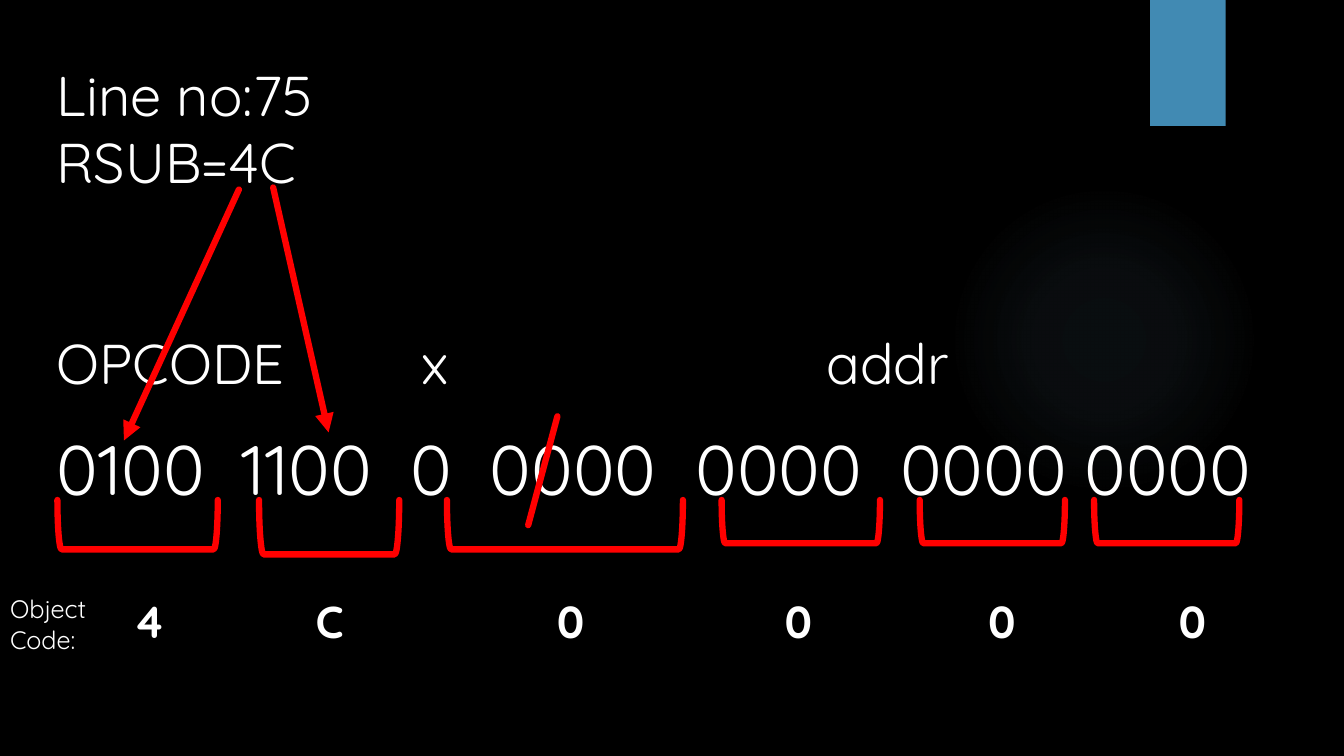
"""Build the RSUB object code slide on a grid of 160 columns and 90 rows."""
from dataclasses import dataclass

from pptx import Presentation, util as u
from pptx.dml.color import RGBColor
from pptx.enum import shapes, text
from pptx.oxml import parse_xml
from pptx.oxml.ns import nsdecls, qn

COLS, ROWS = 160, 90
WIDTH, HEIGHT = u.Inches(13.33), u.Inches(7.5)


@dataclass(frozen=True)
class Theme:
    font: str = "Quicksand"
    back: str = "000000"
    ink: str = "FFFFFF"
    mark: str = "FF0000"
    tab: str = "418AB3"
    glow: str = "8ABAD4"
    head: int = 40
    bits: int = 50
    hex: int = 32
    note: int = 18
    stroke: float = 4.5


@dataclass(frozen=True)
class Label:
    words: str
    left: float
    top: float
    size: int
    width: float = 28
    bold: bool = False
    centred: bool = False


@dataclass(frozen=True)
class Bracket:
    centre: float
    length: float
    depth: float
    digit: str
    digit_centre: float


@dataclass(frozen=True)
class Stroke:
    start: tuple[float, float]
    end: tuple[float, float]
    arrow: bool = False


THEME = Theme()
FIELD_ROW, BIT_ROW, BRACKET_ROW, HEX_ROW = 39.12, 50.64, 59.52, 70.68
HEX_WIDTH = 8
FIELDS = [("OPCODE", 6.72), ("x", 50.16), ("addr", 98.4)]
BITS = [("0100", 6.72), ("1100", 28.8), ("0", 48.84), ("0000", 58.32),
        ("0000", 82.8), ("0000", 107.16), ("0000", 129.12)]
BRACKETS = [
    Bracket(16.38, 19.08, 5.88, "4", 17.76),
    Bracket(39.18, 16.68, 6.48, "C", 39.24),
    Bracket(67.26, 28.08, 5.88, "0", 67.92),
    Bracket(95.34, 18.84, 5.16, "0", 95.04),
    Bracket(118.14, 17.28, 5.16, "0", 119.28),
    Bracket(138.9, 17.28, 5.16, "0", 141.96),
]
STROKES = [
    Stroke((28.44, 22.56), (14.76, 52.44), arrow=True),
    Stroke((32.52, 22.32), (39.12, 51.48), arrow=True),
    Stroke((66.36, 49.56), (62.88, 62.52)),
]
LABELS = [
    *(Label(words, left, FIELD_ROW, THEME.head) for words, left in FIELDS),
    *(Label(words, left, BIT_ROW, THEME.bits) for words, left in BITS),
    *(Label(b.digit, b.digit_centre - HEX_WIDTH / 2, HEX_ROW, THEME.hex,
            HEX_WIDTH, bold=True, centred=True) for b in BRACKETS),
    Label("Object Code:", 1.2, HEX_ROW, THEME.note, 11.04),
]


def col(n: float) -> int:
    return round(WIDTH * n / COLS)


def row(n: float) -> int:
    return round(HEIGHT * n / ROWS)


def box(left: float, top: float, width: float, height: float) -> tuple[int, int, int, int]:
    return col(left), row(top), col(width), row(height)


def assign(obj, values: dict) -> None:
    for name, value in values.items():
        setattr(obj, name, value)


def write(sp, label: Label) -> None:
    tf = sp.text_frame
    assign(tf, dict(margin_left=0, margin_top=0, margin_right=0, margin_bottom=0,
                    word_wrap=True, auto_size=text.MSO_AUTO_SIZE.NONE,
                    vertical_anchor=text.MSO_ANCHOR.TOP))
    tf.text = label.words
    for p in tf.paragraphs:
        p.alignment = text.PP_ALIGN.CENTER if label.centred else text.PP_ALIGN.LEFT
        for r in p.runs:
            assign(r.font, dict(name=THEME.font, size=u.Pt(label.size), bold=label.bold))
            r.font.color.rgb = RGBColor.from_string(THEME.ink)


def add_label(s, label: Label) -> None:
    sp = s.shapes.add_textbox(*box(label.left, label.top, label.width, label.size / 5))
    write(sp, label)


def add_plain(s, kind: shapes.MSO_SHAPE, frame: tuple[int, int, int, int]):
    sp = s.shapes.add_shape(kind, *frame)
    sp.shadow.inherit = False
    sp.line.fill.background()
    return sp


def add_glow(s) -> None:
    sp = add_plain(s, shapes.MSO_SHAPE.OVAL, box(112.92, 21.96, 36.96, 36.96))
    stops = "".join(
        f'<a:gs pos="{pos * 1000}"><a:srgbClr val="{THEME.glow}">'
        f'<a:alpha val="{alpha * 1000}"/></a:srgbClr></a:gs>'
        for pos, alpha in [(0, 7), (36, 6), (69, 0)])
    fill = parse_xml(
        f'<a:gradFill {nsdecls("a")}><a:gsLst>{stops}</a:gsLst><a:path path="circle">'
        '<a:fillToRect l="50000" t="50000" r="50000" b="50000"/></a:path></a:gradFill>')
    sp.element.spPr.find(qn("a:prstGeom")).addnext(fill)


def add_tab(s) -> None:
    sp = add_plain(s, shapes.MSO_SHAPE.RECTANGLE, box(136.92, 0, 9, 15))
    sp.fill.solid()
    sp.fill.fore_color.rgb = RGBColor.from_string(THEME.tab)


def mark(sp) -> None:
    sp.line.color.rgb = RGBColor.from_string(THEME.mark)
    sp.line.width = u.Pt(THEME.stroke)
    sp.line._get_or_add_ln().set("cap", "rnd")


def add_bracket(s, b: Bracket) -> None:
    middle = BRACKET_ROW + b.depth / 2
    sp = add_plain(s, shapes.MSO_SHAPE.LEFT_BRACKET,
                   box(b.centre - b.depth / 2, middle - b.length / 2, b.depth, b.length))
    sp.rotation = 270
    sp.fill.background()
    mark(sp)


def add_stroke(s, stroke: Stroke) -> None:
    (x1, y1), (x2, y2) = stroke.start, stroke.end
    sp = s.shapes.add_connector(shapes.MSO_CONNECTOR.STRAIGHT, col(x1), row(y1), col(x2), row(y2))
    mark(sp)
    if stroke.arrow:
        sp.line._get_or_add_ln().append(parse_xml(f'<a:tailEnd {nsdecls("a")} type="triangle"/>'))
    sp.element.spPr.append(parse_xml(f'<a:effectLst {nsdecls("a")}/>'))


def main() -> None:
    prs = Presentation()
    assign(prs, dict(slide_width=WIDTH, slide_height=HEIGHT))
    s = prs.slides.add_slide(prs.slide_layouts[5])
    s.background.fill.solid()
    s.background.fill.fore_color.rgb = RGBColor.from_string(THEME.back)
    add_glow(s)
    add_tab(s)
    heading = Label("Line no:75\nRSUB=4C", 6.72, 7.2, THEME.head, 120)
    title = s.shapes.title
    assign(title, dict(zip(("left", "top", "width", "height"),
                           box(heading.left, heading.top, heading.width, 17))))
    write(title, heading)
    for label in LABELS:
        add_label(s, label)
    for stroke in STROKES:
        add_stroke(s, stroke)
    for bracket in BRACKETS:
        add_bracket(s, bracket)
    prs.save("out.pptx")


if __name__ == "__main__":
    main()
